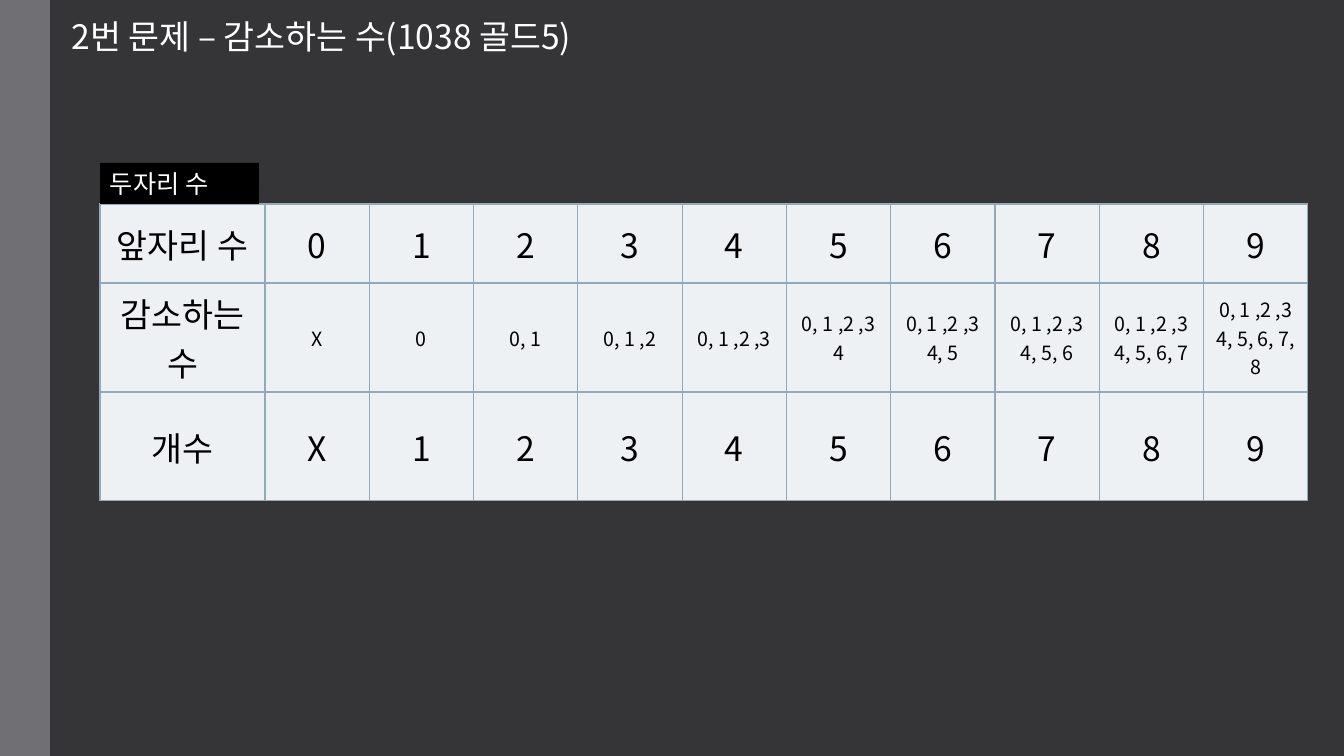
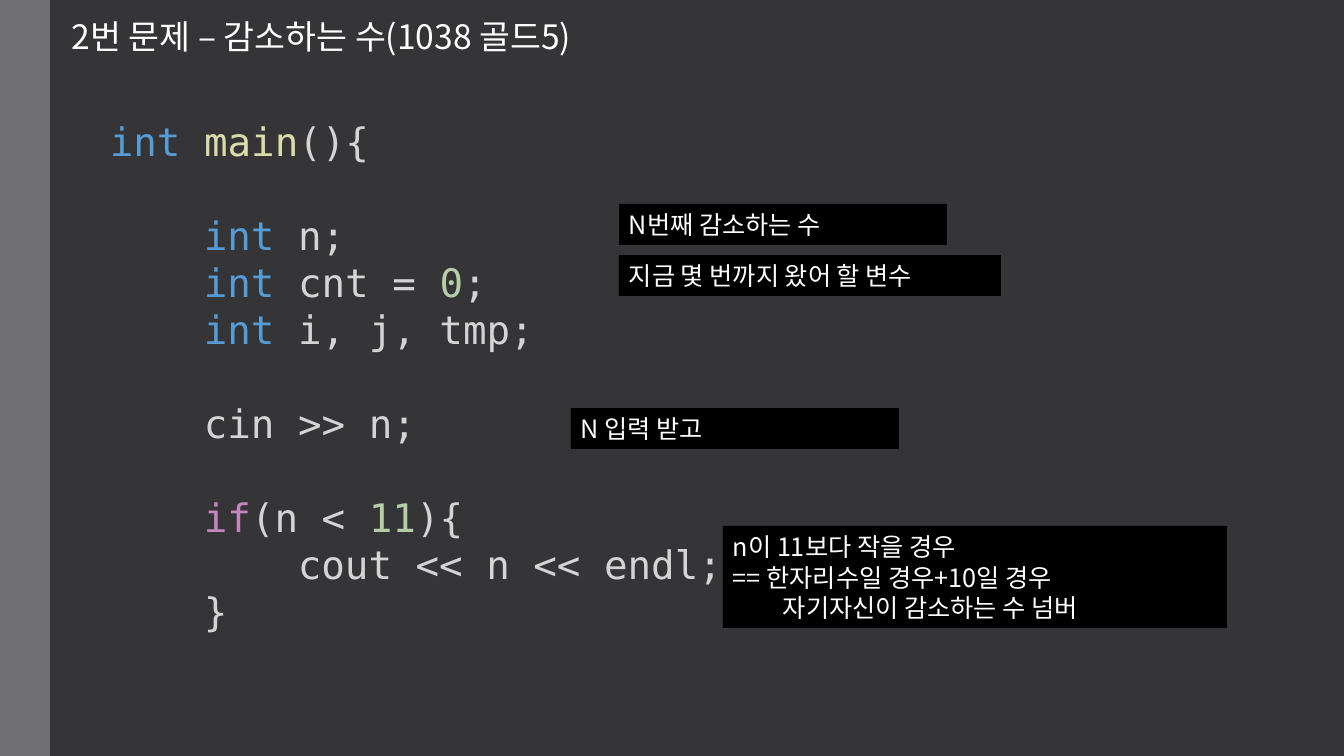
from lxml.etree import SubElement
from pptx import Presentation
from pptx.dml.color import RGBColor
from pptx.enum.shapes import MSO_SHAPE as Shape
from pptx.enum.text import MSO_ANCHOR as Anchor, PP_ALIGN as Align
from pptx.oxml.ns import qn
from pptx.util import Emu, Pt

WIDTH, HEIGHT = 1344, 756
SCALE = 12192000 / WIDTH
LINE_RATIO = 1.2
CODE_INDENT = 94
KOREAN, MONO = "Noto Sans CJK KR", "DejaVu Sans Mono"
COLORS = {
    "background": "353537", "band": "6F6F74", "label": "000000",
    "white": "FFFFFF", "black": "000000", "cell": "EEF1F3", "border": "92A9B9",
    "type": "569CD6", "function": "DCDCAA", "plain": "D4D4D4",
    "number": "B5CEA8", "keyword": "C586C0",
}
TITLE = "2번 문제 – 감소하는 수(1038 골드5)"
CODE = [
    (0, False, [("int ", "type"), ("main", "function"), ("(){", "plain")]),
    (1, True, [("int", "type"), (" n;", "plain")]),
    (1, False, [("int ", "type"), ("cnt = ", "plain"), ("0", "number"), (";", "plain")]),
    (1, False, [("int ", "type"), ("i, j, tmp;", "plain")]),
    (1, True, [("cin >> n;", "plain")]),
    (1, True, [("if", "keyword"), ("(n < ", "plain"), ("11", "number"), ("){", "plain")]),
    (2, False, [("cout << n << endl;", "plain")]),
    (1, False, [("}", "plain")]),
]
NOTES = [
    (619, 204, 328, 41, [("N번째 감소하는 수", 0)]),
    (619, 255, 382, 41, [("지금 몇 번까지 왔어 할 변수", 0)]),
    (571, 408, 328, 41, [("N 입력 받고", 0)]),
    (723, 526, 504, 102, [("n이 11보다 작을 경우", 0),
                          ("== 한자리수일 경우+10일 경우", 0),
                          ("자기자신이 감소하는 수 넘버", 50)]),
]


def emu(px):
    """Turn px into EMU."""
    return Emu(round(px * SCALE))


def rgb(name):
    """Look up a named colour."""
    return RGBColor.from_string(COLORS[name])


def smaller_digits(digit):
    """List the digits below a leading digit, in one or two lines."""
    if digit == 0:
        return ["X"]
    first = "0, 1 ,2 ,3"[:3 * digit - 2]
    second = ", ".join(str(number) for number in range(4, digit))
    return [first, second] if second else [first]


class Slides:
    """Hold the shared style and the current slide."""

    def __init__(self):
        """Start a deck of the chosen size."""
        self.deck = Presentation()
        self.deck.slide_width, self.deck.slide_height = emu(WIDTH), emu(HEIGHT)
        self.page = None

    def new_page(self, title):
        """Add a slide with its background, side band and title."""
        self.page = self.deck.slides.add_slide(self.deck.slide_layouts[6])
        fill = self.page.background.fill
        fill.solid()
        fill.fore_color.rgb = rgb("background")
        self.rectangle(0, 0, 50, HEIGHT, "band")
        para = self.text_frame(62, 11, 619, 50).paragraphs[0]
        para.text = title
        self.style(para, 24, "white", spaced=True)

    def style(self, para, size, color, face=KOREAN, spaced=False):
        """Set the font of a paragraph and, if asked, its exact line height."""
        font = para.font
        font.size, font.name = Pt(size), face
        font.color.rgb = rgb(color)
        properties = para._p.get_or_add_pPr()
        SubElement(properties.find(qn("a:defRPr")), qn("a:ea"), typeface=face)
        if spaced:
            para.line_spacing = Pt(size * LINE_RATIO)

    def indent(self, para, px):
        """Move a paragraph to the right."""
        properties = para._p.get_or_add_pPr()
        properties.set("marL", str(emu(px)))
        properties.set("indent", "0")

    def paragraphs(self, frame, count):
        """Give a text frame the wanted number of paragraphs."""
        for _ in range(count - 1):
            frame.add_paragraph()
        return frame.paragraphs

    def text_frame(self, left, top, width, height):
        """Add a wrapping text box and return its frame."""
        box = self.page.shapes.add_textbox(emu(left), emu(top), emu(width), emu(height))
        box.text_frame.word_wrap = True
        return box.text_frame

    def rectangle(self, left, top, width, height, color):
        """Add a plain filled rectangle."""
        box = self.page.shapes.add_shape(
            Shape.RECTANGLE, emu(left), emu(top), emu(width), emu(height))
        box.shadow.inherit = False
        box.fill.solid()
        box.fill.fore_color.rgb = rgb(color)
        box.line.fill.background()
        return box

    def label(self, left, top, width, height, lines):
        """Add a black label with left-aligned lines."""
        frame = self.rectangle(left, top, width, height, "label").text_frame
        frame.word_wrap = True
        frame.vertical_anchor = Anchor.MIDDLE
        for para, (text, offset) in zip(self.paragraphs(frame, len(lines)), lines):
            para.text = text
            para.alignment = Align.LEFT
            self.style(para, 18, "white", spaced=True)
            self.indent(para, offset)

    def code(self, left, top, width, height, lines):
        """Add a listing with coloured tokens."""
        size = 28
        frame = self.text_frame(left, top, width, height)
        for para, (level, gap, tokens) in zip(self.paragraphs(frame, len(lines)), lines):
            self.style(para, size, "plain", MONO, spaced=True)
            self.indent(para, level * CODE_INDENT)
            para.space_before = Pt(size * LINE_RATIO if gap else 0)
            for text, color in tokens:
                span = para.add_run()
                span.text = text
                span.font.color.rgb = rgb(color)

    def cell(self, cell, lines, size):
        """Fill one table cell with centred lines and thin borders."""
        properties = cell._tc.get_or_add_tcPr()
        for side in ("lnL", "lnR", "lnT", "lnB"):
            line = SubElement(properties, qn(f"a:{side}"), w=str(Pt(1)))
            solid = SubElement(line, qn("a:solidFill"))
            SubElement(solid, qn("a:srgbClr"), val=COLORS["border"])
        cell.fill.solid()
        cell.fill.fore_color.rgb = rgb("cell")
        cell.vertical_anchor = Anchor.MIDDLE
        for para, text in zip(self.paragraphs(cell.text_frame, len(lines)), lines):
            para.text = text
            para.alignment = Align.CENTER
            self.style(para, size, "black")

    def table(self, left, top, width, head_width, heights, rows, sizes):
        """Add a table with a wide first column and equal others."""
        columns = len(rows[0])
        grid = self.page.shapes.add_table(
            len(rows), columns, emu(left), emu(top), emu(width), emu(sum(heights))).table
        grid.first_row = grid.horz_banding = False
        for index, column in enumerate(grid.columns):
            column.width = emu((width - head_width) / (columns - 1) if index else head_width)
        for row, height, texts, size in zip(grid.rows, heights, rows, sizes):
            row.height = emu(height)
            for index, (cell, lines) in enumerate(zip(row.cells, texts)):
                self.cell(cell, lines, size if index else 24)


def main():
    """Build and save both slides."""
    slides = Slides()
    digits = range(10)
    slides.new_page(TITLE)
    rows = [
        [["앞자리 수"]] + [[str(digit)] for digit in digits],
        [["감소하는 수"]] + [smaller_digits(digit) for digit in digits],
        [["개수"]] + [[str(digit or "X")] for digit in digits],
    ]
    slides.table(100, 204, 1208, 165, (79, 109, 109), rows, (24, 14, 24))
    slides.label(100, 163, 159, 41, [("두자리 수", 0)])

    slides.new_page(TITLE)
    slides.code(100, 112, 788, 532, CODE)
    for note in NOTES:
        slides.label(*note)
    slides.deck.save("out.pptx")


if __name__ == "__main__":
    main()
